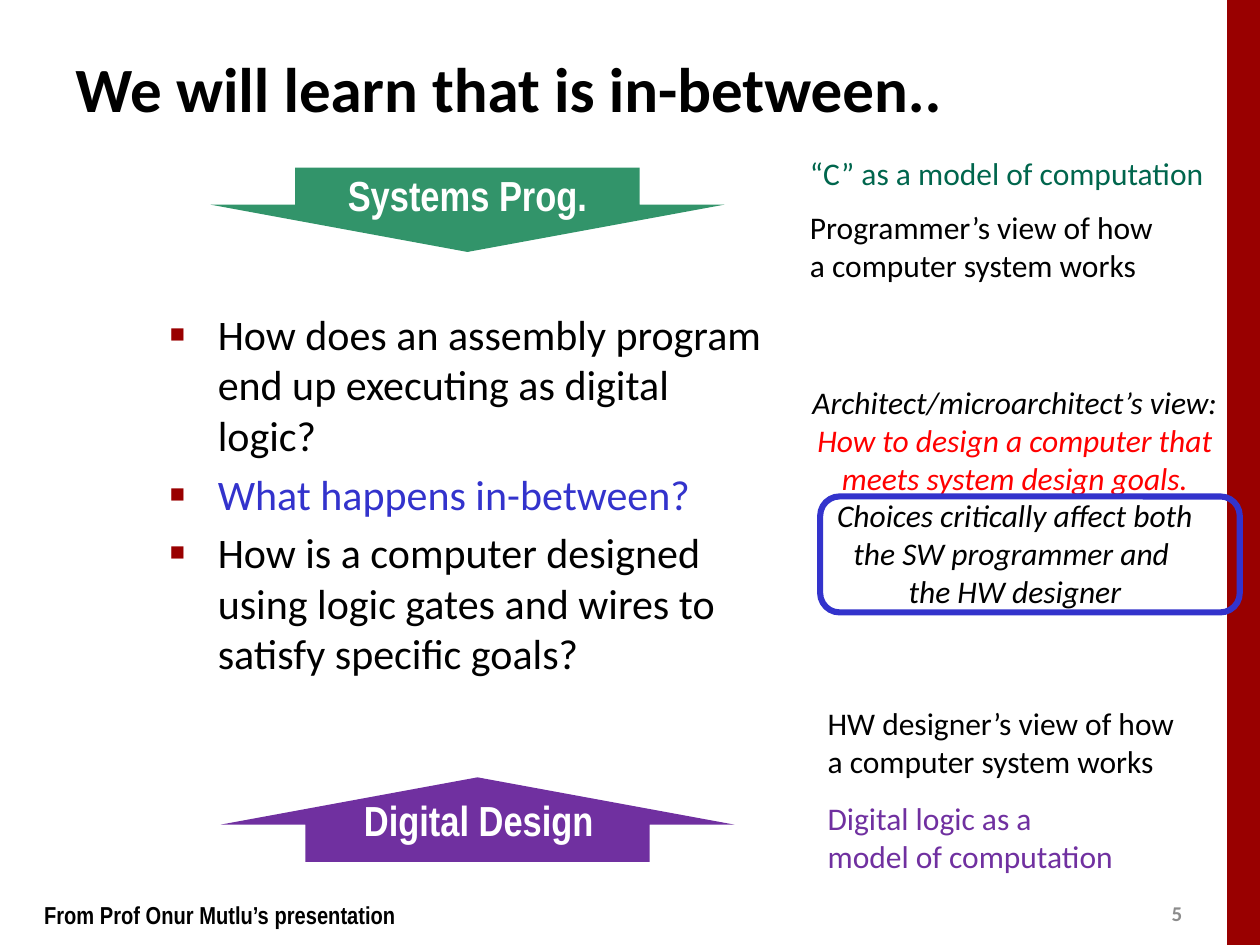
from lxml import etree
from pptx import Presentation
from pptx.dml.color import RGBColor
from pptx.enum import shapes, text
from pptx.oxml.ns import qn
from pptx.util import Inches, Pt

BLACK = RGBColor(0x00, 0x00, 0x00)
WHITE = RGBColor(0xFF, 0xFF, 0xFF)
GRAY = RGBColor(0x8C, 0x8C, 0x8C)
DARK_RED = RGBColor(0x99, 0x00, 0x00)
RED = RGBColor(0xFF, 0x00, 0x00)
BLUE = RGBColor(0x33, 0x33, 0xCC)
GREEN = RGBColor(0x32, 0x94, 0x6A)
DARK_GREEN = RGBColor(0x00, 0x66, 0x4D)
PURPLE = RGBColor(0x70, 0x30, 0xA0)

deck = Presentation()
deck.slide_width, deck.slide_height = Inches(10), Inches(7.5)
page = deck.slides.add_slide(deck.slide_layouts[6])


def add_text(place, lines, size, font="Calibri", bold=False, italic=False,
             align=text.PP_ALIGN.LEFT, anchor=text.MSO_ANCHOR.TOP, wrap=False):
    """Add a text box with one paragraph for each (words, colour) pair."""
    box = page.shapes.add_textbox(*map(Inches, place))
    frame = box.text_frame
    frame.word_wrap = wrap
    frame.vertical_anchor = anchor
    frame.text = "\n".join(words for words, _ in lines)
    for para, (_, color) in zip(frame.paragraphs, lines):
        para.alignment = align
        for span in para.runs:
            span.font.name = font
            span.font.size = Pt(size)
            span.font.bold = bold
            span.font.italic = italic
            span.font.color.rgb = color
    return box


def add_shape(kind, place, fill=None):
    shape = page.shapes.add_shape(kind, *map(Inches, place))
    shape.shadow.inherit = False
    shape.line.fill.background()
    if fill is None:
        shape.fill.background()
    else:
        shape.fill.solid()
        shape.fill.fore_color.rgb = fill
    return shape


# Page frame
add_shape(shapes.MSO_SHAPE.RECTANGLE, (9.74, 0, 0.26, 7.5), DARK_RED)
add_text((9.2, 7.1, 0.4, 0.3), [("5", GRAY)], 12, bold=True,
         anchor=text.MSO_ANCHOR.MIDDLE)
add_text((0.5, 0.07, 9, 1.25), [("We will learn that is in-between..", BLACK)],
         36, bold=True, anchor=text.MSO_ANCHOR.MIDDLE, wrap=True)

# Bulleted questions
questions = add_text((1.25, 2.4, 4.92, 3.44), [
    ("How does an assembly program end up executing as digital logic?", BLACK),
    ("What happens in-between?", BLUE),
    ("How is a computer designed using logic gates and wires to satisfy "
     "specific goals?", BLACK),
], 24, wrap=True)
for number, para in enumerate(questions.text_frame.paragraphs):
    if number:
        para.space_before = Pt(4.8)
    props = para._p.get_or_add_pPr()
    props.set("marL", str(Inches(0.38)))
    props.set("indent", str(-Inches(0.38)))
    bullet_color = etree.SubElement(props, qn("a:buClr"))
    etree.SubElement(bullet_color, qn("a:srgbClr"), val=str(DARK_RED))
    etree.SubElement(props, qn("a:buSzPct"), val="60000")
    etree.SubElement(props, qn("a:buFont"), typeface="Arial")
    etree.SubElement(props, qn("a:buChar"), char="■")

# Arrows closing in from above and below
for label, left, top, fill, label_place, points_up in [
    ("Systems Prog.", 1.67, 1.33, GREEN, (2.61, 1.3, 2.2, 0.5), False),
    ("Digital Design", 1.75, 6.17, PURPLE, (2.7, 6.26, 2.2, 0.5), True),
]:
    arrow = add_shape(shapes.MSO_SHAPE.DOWN_ARROW, (left, top, 4.08, 0.67), fill)
    arrow.adjustments[0], arrow.adjustments[1] = 0.67, 0.56
    if points_up:
        arrow._element.spPr.find(qn("a:xfrm")).set("flipV", "1")
    add_text(label_place, [(label, WHITE)], 24, "Arial Narrow", bold=True,
             align=text.PP_ALIGN.CENTER)

# Views on the right
for place, lines, color in [
    ((6.33, 1.17, 3.43, 0.4), ["“C” as a model of computation"], DARK_GREEN),
    ((6.47, 6.29, 2.49, 0.71),
     ["Digital logic as a", "model of computation"], PURPLE),
    ((6.33, 1.6, 3.01, 0.71),
     ["Programmer’s view of how", "a computer system works"], BLACK),
    ((6.47, 5.54, 3.1, 0.71),
     ["HW designer’s view of how", "a computer system works"], BLACK),
]:
    add_text(place, [(line, color) for line in lines], 18)

add_text((6.27, 2.99, 3.57, 1.92), [
    ("Architect/microarchitect’s view:", BLACK),
    ("How to design a computer that", RED),
    ("meets system design goals.", RED),
    ("Choices critically affect both", BLACK),
    ("the SW programmer and ", BLACK),
    ("the HW designer", BLACK),
], 18, italic=True, align=text.PP_ALIGN.CENTER)
highlight = add_shape(shapes.MSO_SHAPE.ROUNDED_RECTANGLE, (6.51, 3.94, 3.33, 0.92))
highlight.line.color.rgb = BLUE
highlight.line.width = Pt(3.5)

# Credit
credit = add_text((0.35, 7.14, 3.1, 0.24),
                  [("From Prof Onur Mutlu’s presentation", BLACK)],
                  14, "Arial Narrow", bold=True)
frame = credit.text_frame
frame.margin_left = frame.margin_right = frame.margin_top = frame.margin_bottom = 0

deck.save("out.pptx")
